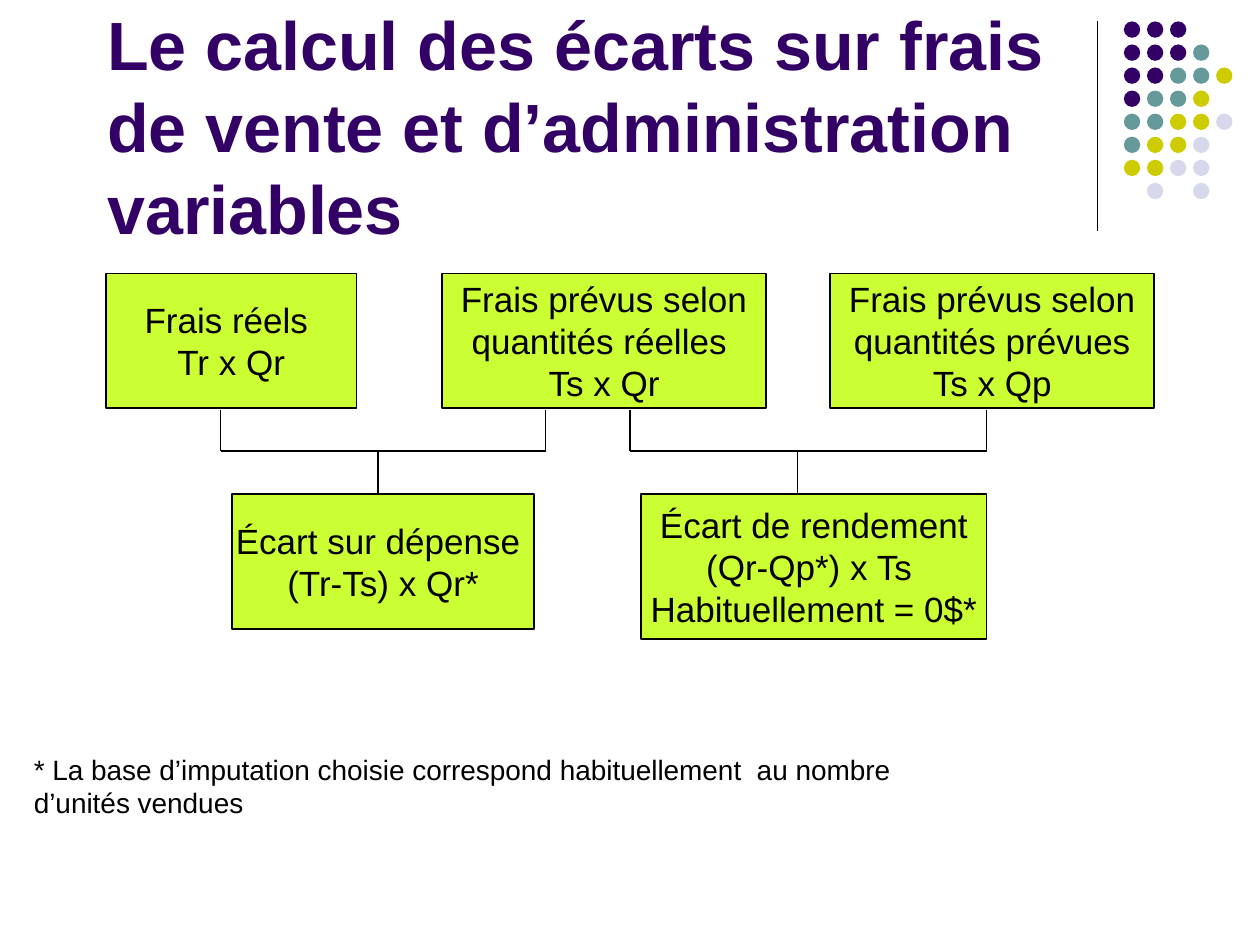
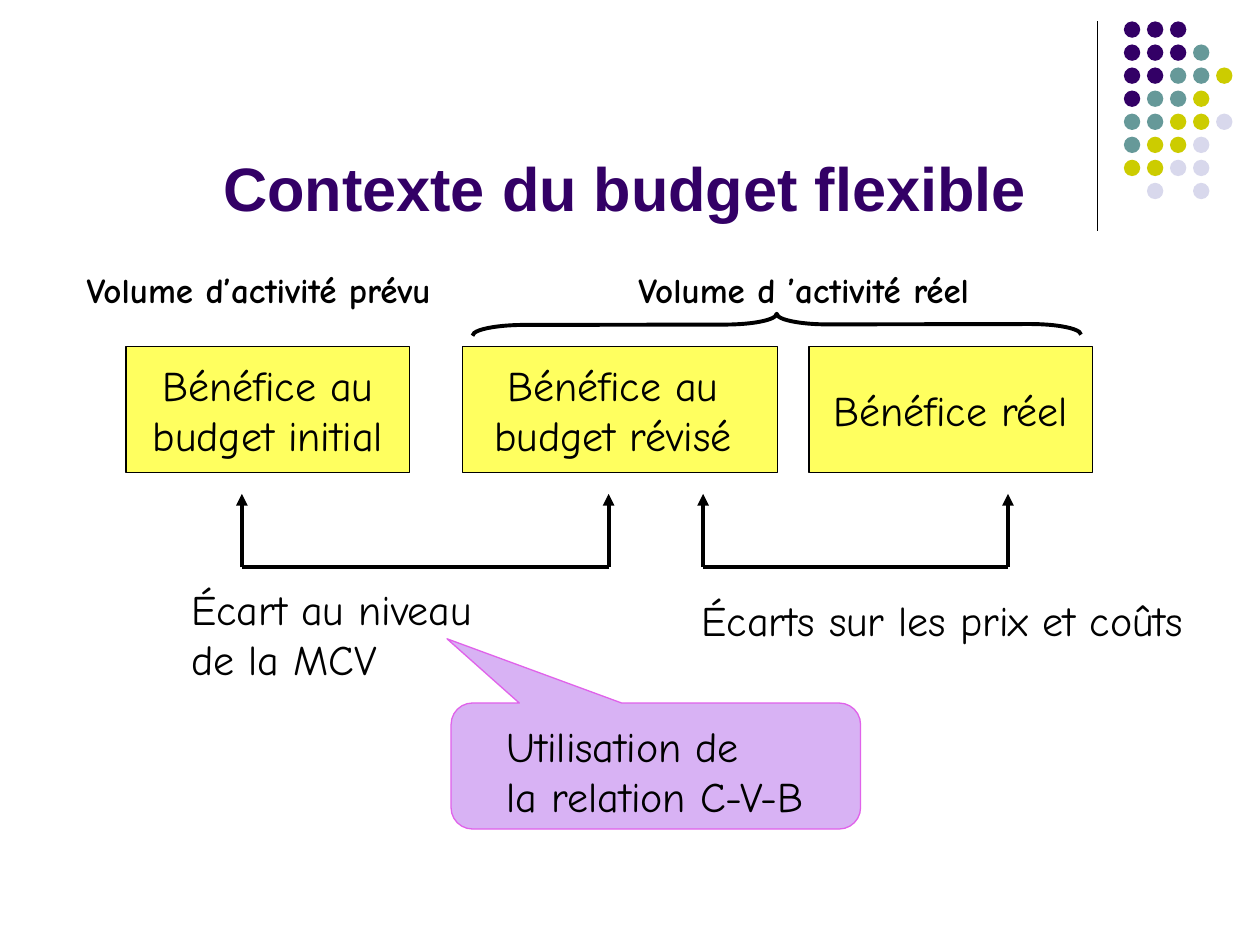
"""Build two slides on budget variances: selling costs and the flexible budget."""
from lxml.etree import SubElement
from pptx import Presentation
from pptx.dml.color import RGBColor
from pptx.enum.shapes import MSO_CONNECTOR, MSO_SHAPE
from pptx.enum.text import MSO_ANCHOR, MSO_AUTO_SIZE, PP_ALIGN
from pptx.oxml.ns import qn
from pptx.util import Inches, Pt

COLOURS = {
    "purple": "330066", "teal": "669999", "olive": "CCCC00", "lavender": "D8D8EC",
    "lime": "CCFF33", "yellow": "FFFF5F", "lilac": "D8B2F4", "pink": "E062EA",
    "black": "000000", "grey": "808080",
}
DOT_ROWS = ["PPP", "PPPT", "PPTTO", "PTTO", "TTOOL", "TOOL", "OOLL", " L L"]
DOT_COLOURS = {"P": "purple", "T": "teal", "O": "olive", "L": "lavender"}
DOT_LEFT, DOT_TOP, DOT_PITCH, DOT_SIZE = 8.92, 0.17, 0.183, 0.13

COST_TITLE = "Le calcul des écarts sur frais de vente et d’administration variables"
COST_BOXES = [
    ((0.84, 2.17, 1.99, 1.07), ["Frais réels ", "Tr x Qr"]),
    ((3.51, 2.17, 2.57, 1.07), ["Frais prévus selon", "quantités réelles ", "Ts x Qr"]),
    ((6.59, 2.17, 2.57, 1.07), ["Frais prévus selon", "quantités prévues", "Ts x Qp"]),
    ((1.84, 3.92, 2.4, 1.07), ["Écart sur dépense ", "(Tr-Ts) x Qr*"]),
    ((5.09, 3.92, 2.74, 1.15),
     ["Écart de rendement", "(Qr-Qp*) x Ts ", "Habituellement = 0$*"]),
]
COST_BRACKETS = [(1.75, 4.33, 3), (5, 7.83, 6.33)]
COST_TIP, COST_BAR, COST_STEM_END = 3.25, 3.58, 3.92
COST_NOTE = ("* La base d’imputation choisie correspond habituellement  "
             "au nombre d’unités vendues")

BUDGET_TITLE = "Contexte du budget flexible"
BUDGET_BOXES = [
    ((1, 2.75, 2.25, 1), ["Bénéfice au", "budget initial"]),
    ((3.67, 2.75, 2.5, 1), ["Bénéfice au ", "budget révisé "]),
    ((6.42, 2.75, 2.25, 1), ["Bénéfice réel"]),
]
BUDGET_BRACKETS = [(1.92, 4.83), (5.58, 8)]
BUDGET_TIP, BUDGET_BAR = 3.92, 4.5
BUDGET_LABELS = [
    ((3.92, 5.67, 2.6, 0.9), ["Utilisation de", "la relation C-V-B"], {"wrap": False}),
    ((1.42, 4.58, 2.84, 0.9), ["Écart au niveau de la MCV"], {}),
    ((5.47, 4.67, 4.02, 0.5), ["Écarts sur les prix et coûts"], {"wrap": False}),
    ((4.17, 2.08, 4.42, 0.44), ["Volume d ’activité réel"],
     {"size": 20, "bold": True, "align": PP_ALIGN.CENTER}),
    ((0.59, 2.08, 2.96, 0.44), ["Volume d’activité prévu"],
     {"size": 20, "bold": True, "wrap": False}),
]


def colour(name):
    return RGBColor.from_string(COLOURS[name])


def place(area):
    return [Inches(length) for length in area]


def write(frame, lines, size, font="Arial", ink="black", bold=False,
          align=PP_ALIGN.LEFT, anchor=MSO_ANCHOR.TOP, wrap=True):
    frame.word_wrap = wrap
    frame.auto_size = MSO_AUTO_SIZE.NONE
    frame.vertical_anchor = anchor
    for index, line in enumerate(lines):
        para = frame.add_paragraph() if index else frame.paragraphs[0]
        para.add_run().text = line
        para.alignment = align
        para.font.name, para.font.size, para.font.bold = font, Pt(size), bold
        para.font.color.rgb = colour(ink)


def add_title(page, text, area, size, anchor):
    title = page.shapes.title
    title.left, title.top, title.width, title.height = place(area)
    write(title.text_frame, [text], size, ink="purple", bold=True, anchor=anchor)
    return title


def add_text_shadow(span):
    effects = SubElement(span.font._element, qn("a:effectLst"))
    shadow = SubElement(effects, qn("a:outerShdw"), dist="28398", dir="2700000")
    SubElement(shadow, qn("a:srgbClr"), val=COLOURS["grey"])


def add_figure(shapes, kind, area, fill=None, line=None, width=0.75):
    figure = shapes.add_shape(kind, *place(area))
    figure.shadow.inherit = False
    if fill:
        figure.fill.solid()
        figure.fill.fore_color.rgb = colour(fill)
    else:
        figure.fill.background()
    if line:
        figure.line.color.rgb = colour(line)
        figure.line.width = Pt(width)
    else:
        figure.line.fill.background()
    return figure


def add_boxes(page, boxes, fill, width, size, font):
    for area, lines in boxes:
        box = add_figure(page.shapes, MSO_SHAPE.RECTANGLE, area, fill, "black", width)
        write(box.text_frame, lines, size, font, align=PP_ALIGN.CENTER,
              anchor=MSO_ANCHOR.MIDDLE, wrap=False)


def add_line(page, start, end, width, arrow=False):
    line = page.shapes.add_connector(MSO_CONNECTOR.STRAIGHT, *place(start + end))
    line.line.color.rgb = colour("black")
    line.line.width = Pt(width)
    if arrow:
        SubElement(line.line._get_or_add_ln(), qn("a:tailEnd"), type="triangle")
    SubElement(line.element.spPr, qn("a:effectLst"))
    return line


def add_bracket(page, left, right, tip, bar, width, arrow=False):
    add_line(page, (left, bar), (right, bar), width)
    for x in (left, right):
        add_line(page, (x, bar), (x, tip), width, arrow)


def add_label(page, area, lines, size, **style):
    label = page.shapes.add_textbox(*place(area))
    write(label.text_frame, lines, size, **style)


def decorate_layout(layout, page):
    rule = add_line(page, (8.71, 0.17), (8.71, 1.83), 0.75)
    dots = page.shapes.add_group_shape()
    for row, marks in enumerate(DOT_ROWS):
        for column, mark in enumerate(marks):
            if mark in DOT_COLOURS:
                area = (DOT_LEFT + column * DOT_PITCH, DOT_TOP + row * DOT_PITCH,
                        DOT_SIZE, DOT_SIZE)
                add_figure(dots.shapes, MSO_SHAPE.OVAL, area, DOT_COLOURS[mark])
    tree = layout.shapes.element
    for part in (rule, dots):
        tree.append(part.element)
    for number, properties in enumerate(tree.iter(qn("p:cNvPr")), start=1):
        properties.set("id", str(number))


def build_cost_page(page):
    title = add_title(page, COST_TITLE, (0.75, 0.37, 8.19, 1.25), 39, MSO_ANCHOR.MIDDLE)
    add_text_shadow(title.text_frame.paragraphs[0].runs[0])
    add_boxes(page, COST_BOXES, "lime", 1, 20, "Arial")
    for left, right, stem in COST_BRACKETS:
        add_bracket(page, left, right, COST_TIP, COST_BAR, 1)
        add_line(page, (stem, COST_BAR), (stem, COST_STEM_END), 1)
    add_label(page, (0.17, 5.92, 7.17, 0.63), [COST_NOTE], 16)


def build_budget_page(page):
    add_title(page, BUDGET_TITLE, (1.67, 0.58, 8.33, 1.25), 35, MSO_ANCHOR.BOTTOM)
    add_boxes(page, BUDGET_BOXES, "yellow", 0.75, 24, "Comic Neue")
    for left, right in BUDGET_BRACKETS:
        add_bracket(page, left, right, BUDGET_TIP, BUDGET_BAR, 2.25, arrow=True)
    callout = add_figure(page.shapes, MSO_SHAPE.ROUNDED_RECTANGULAR_CALLOUT,
                         (3.58, 5.58, 3.25, 1), "lilac", "pink")
    for index, value in enumerate((-0.51, -1.01, 0.17)):
        callout.adjustments[index] = value
    for area, lines, style in BUDGET_LABELS:
        add_label(page, area, lines, **{"size": 24, "font": "Comic Neue", **style})
    brace = add_figure(page.shapes, MSO_SHAPE.RIGHT_BRACE, (6.08, 0.16, 0.17, 4.83),
                       line="black", width=2.25)
    brace.adjustments[0] = 2.4
    brace.rotation = 269.9


def main():
    deck = Presentation()
    deck.slide_width, deck.slide_height = Inches(10), Inches(7.5)
    layout = deck.slide_layouts[5]
    cost_page, budget_page = [deck.slides.add_slide(layout) for _ in range(2)]
    decorate_layout(layout, cost_page)
    build_cost_page(cost_page)
    build_budget_page(budget_page)
    deck.save("out.pptx")


if __name__ == "__main__":
    main()
